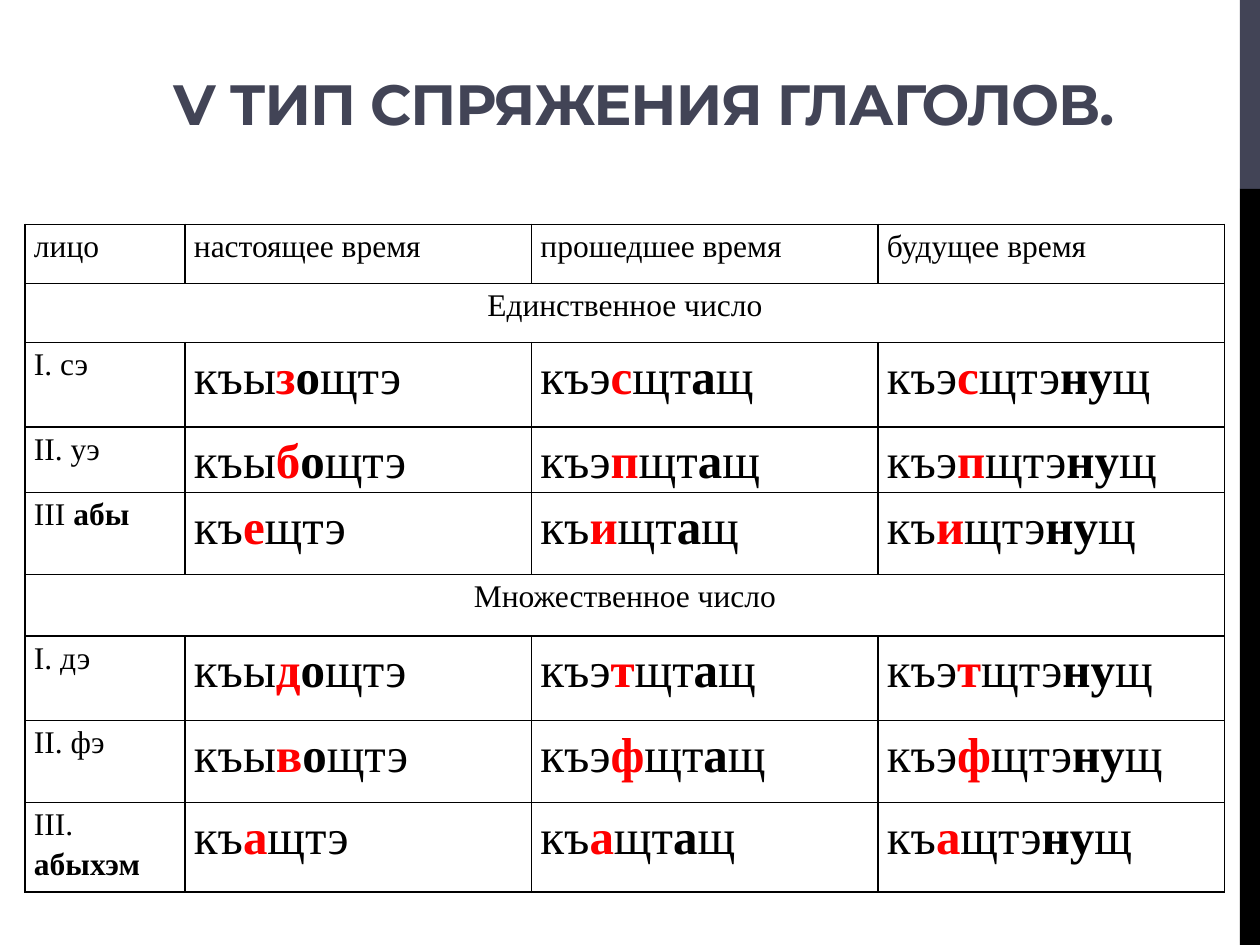
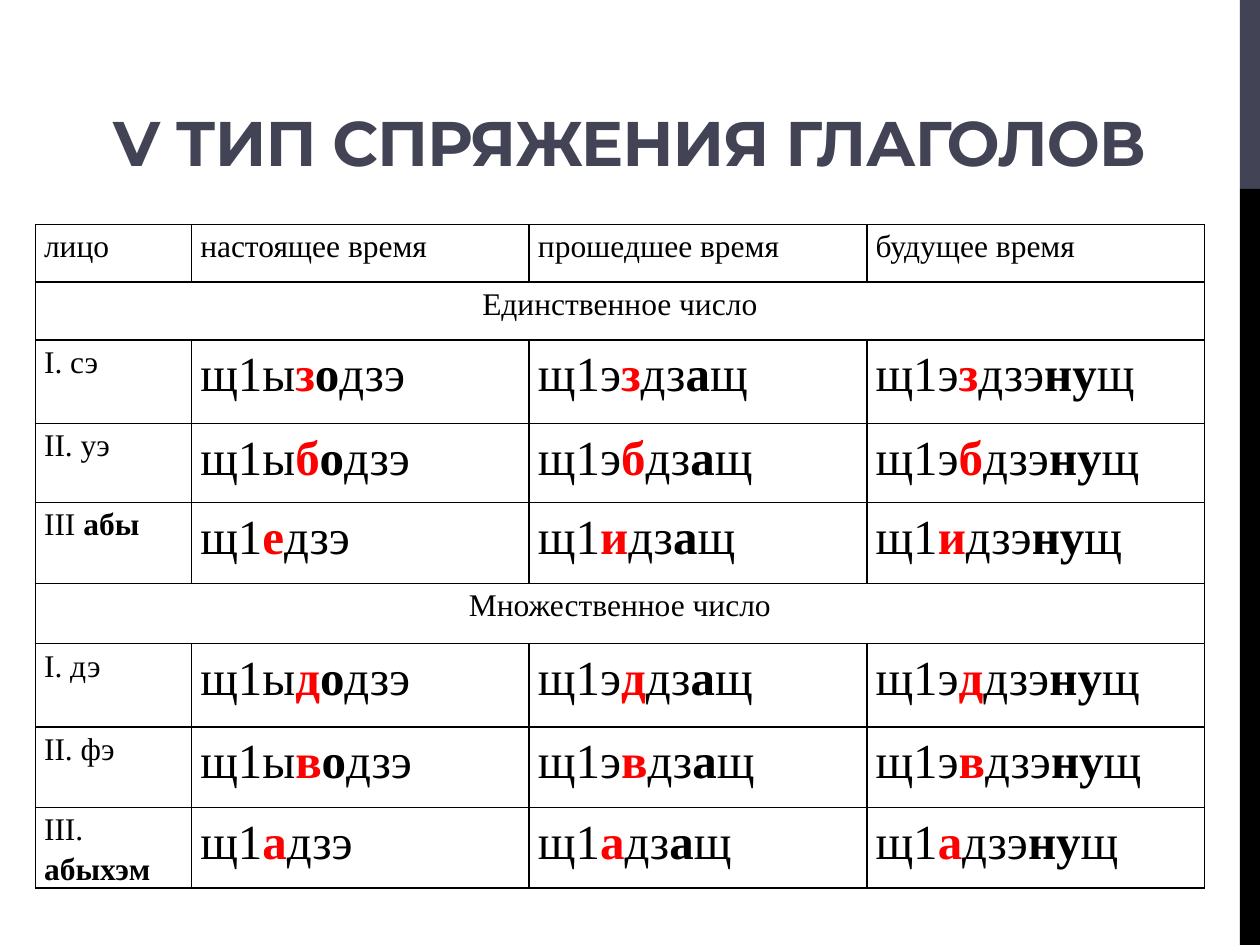
"""Build two slides with conjugation tables for type V verbs."""
from lxml.etree import SubElement
from pptx import Presentation
from pptx.dml.color import RGBColor
from pptx.enum.shapes import MSO_SHAPE
from pptx.enum.text import MSO_ANCHOR, MSO_AUTO_SIZE, PP_ALIGN
from pptx.oxml.ns import qn
from pptx.util import Inches, Pt

COLORS = {"slate": "424456", "black": "000000", "marker": "FF0000"}
TITLE_FONT = "Montserrat"
TABLE_FONT = "Times New Roman"
LABEL_SIZE = 18
FORM_SIZE = 28
TABLE_TOP = 1.78
HEADERS = ["лицо", "настоящее время", "прошедшее время", "будущее время"]
NUMBERS = ["Единственное число", "Множественное число"]
PERSONS = [
    [[("I. сэ", False)]],
    [[("II. уэ", False)]],
    [[("III ", False), ("абы", True)]],
    [[("I. дэ", False)]],
    [[("II. фэ", False)]],
    [[("III.", False)], [("абыхэм", True)]],
]
PERSONS_PER_NUMBER = 3
SLIDES = [
    {
        "title": "V ТИП СПРЯЖЕНИЯ ГЛАГОЛОВ.", "title_size": 32.4,
        "title_box": (0.5, 0.44, 9.22, 1.22), "title_bottom": 0.57,
        "prefix": "къ", "root": "щт",
        "present_markers": "збедва", "other_markers": "спитфа",
        "left": 0.2, "columns": [1.27, 2.75, 2.75, 2.75],
        "rows": [0.47, 0.47, 0.67, 0.52, 0.65, 0.49, 0.67, 0.65, 0.71],
    },
    {
        "title": "V ТИП СПРЯЖЕНИЯ ГЛАГОЛОВ", "title_size": 36,
        "title_box": (0.5, 0.6, 8.99, 0.87), "title_bottom": 0.05,
        "prefix": "щ1", "root": "дз",
        "present_markers": "збедва", "other_markers": "збидва",
        "left": 0.28, "columns": [1.24, 2.68, 2.68, 2.68],
        "rows": [0.46, 0.46, 0.66, 0.63, 0.64, 0.48, 0.66, 0.64, 0.64],
    },
]


def color(name):
    return RGBColor.from_string(COLORS[name])


def add_band(slide, top, height, color_name):
    band = slide.shapes.add_shape(
        MSO_SHAPE.RECTANGLE, Inches(9.84), Inches(top), Inches(0.16), Inches(height))
    band.shadow.inherit = False
    band.fill.solid()
    band.fill.fore_color.rgb = color(color_name)
    band.line.fill.background()


def set_title(slide, text, size, box, bottom):
    title = slide.shapes.title
    title.left, title.top, title.width, title.height = map(Inches, box)
    frame = title.text_frame
    frame.text = text
    frame.word_wrap = True
    frame.auto_size = MSO_AUTO_SIZE.NONE
    frame.vertical_anchor = MSO_ANCHOR.BOTTOM
    frame.margin_bottom = Inches(bottom)
    paragraph = frame.paragraphs[0]
    paragraph.alignment = PP_ALIGN.CENTER
    paragraph.font.name = TITLE_FONT
    paragraph.font.size = Pt(size)
    paragraph.font.bold = True
    paragraph.font.color.rgb = color("slate")
    paragraph.runs[0]._r.get_or_add_rPr().set("spc", "-60")


def set_borders(cell):
    properties = cell._tc.get_or_add_tcPr()
    for side in ("lnL", "lnR", "lnT", "lnB"):
        line = SubElement(properties, qn(f"a:{side}"), w=str(Pt(1)))
        fill = SubElement(line, qn("a:solidFill"))
        SubElement(fill, qn("a:srgbClr"), val=COLORS["black"])


def write_cell(cell, paragraphs, size=LABEL_SIZE, alignment=PP_ALIGN.JUSTIFY):
    frame = cell.text_frame
    for index, pieces in enumerate(paragraphs):
        paragraph = frame.add_paragraph() if index else frame.paragraphs[0]
        paragraph.alignment = alignment
        paragraph.line_spacing = 1.15
        paragraph.font.name = TABLE_FONT
        paragraph.font.size = Pt(size)
        paragraph.font.color.rgb = color("black")
        for text, bold, *color_name in pieces:
            run = paragraph.add_run()
            run.text = text
            run.font.bold = bold
            if color_name:
                run.font.color.rgb = color(color_name[0])


def conjugate(verb, person):
    """Return the present, past and future forms as lists of styled pieces."""
    prefix, root = verb["prefix"], verb["root"]
    third = person % PERSONS_PER_NUMBER == 2
    present_link, other_link = ("", "") if third else ("ы", "э")
    present = [(prefix + present_link, False),
               (verb["present_markers"][person], True, "marker")]
    if not third:
        present.append(("о", True))
    present.append((root + "э", False))
    start = [(prefix + other_link, False),
             (verb["other_markers"][person], True, "marker")]
    past = start + [(root, False), ("а", True), ("щ", False)]
    future = start + [(root + "э", False), ("ну", True), ("щ", False)]
    return present, past, future


def add_grid(slide, left, columns, rows):
    table = slide.shapes.add_table(
        len(rows), len(columns), Inches(left), Inches(TABLE_TOP),
        Inches(sum(columns)), Inches(sum(rows))).table
    table.first_row = False
    table.horz_banding = False
    for column, width in zip(table.columns, columns):
        column.width = Inches(width)
    for row, height in zip(table.rows, rows):
        row.height = Inches(height)
    for cell in table.iter_cells():
        set_borders(cell)
        cell.fill.background()
        cell.margin_left = cell.margin_right = Inches(0.07)
        cell.margin_top = cell.margin_bottom = 0
    return table


def add_conjugation_table(slide, verb):
    table = add_grid(slide, verb["left"], verb["columns"], verb["rows"])
    for column, header in enumerate(HEADERS):
        write_cell(table.cell(0, column), [[(header, False)]])
    for index, number in enumerate(NUMBERS):
        heading_row = 1 + index * (PERSONS_PER_NUMBER + 1)
        heading = table.cell(heading_row, 0)
        heading.merge(table.cell(heading_row, len(HEADERS) - 1))
        write_cell(heading, [[(number, False)]], alignment=PP_ALIGN.CENTER)
        for offset in range(PERSONS_PER_NUMBER):
            person = index * PERSONS_PER_NUMBER + offset
            row = heading_row + 1 + offset
            write_cell(table.cell(row, 0), PERSONS[person])
            for column, form in enumerate(conjugate(verb, person), start=1):
                write_cell(table.cell(row, column), [form], FORM_SIZE)


def main():
    presentation = Presentation()
    presentation.slide_width = Inches(10)
    presentation.slide_height = Inches(7.5)
    for verb in SLIDES:
        slide = presentation.slides.add_slide(presentation.slide_layouts[5])
        add_band(slide, 0, 1.5, "slate")
        add_band(slide, 1.5, 6, "black")
        set_title(slide, verb["title"], verb["title_size"],
                  verb["title_box"], verb["title_bottom"])
        add_conjugation_table(slide, verb)
    presentation.save("out.pptx")


if __name__ == "__main__":
    main()
